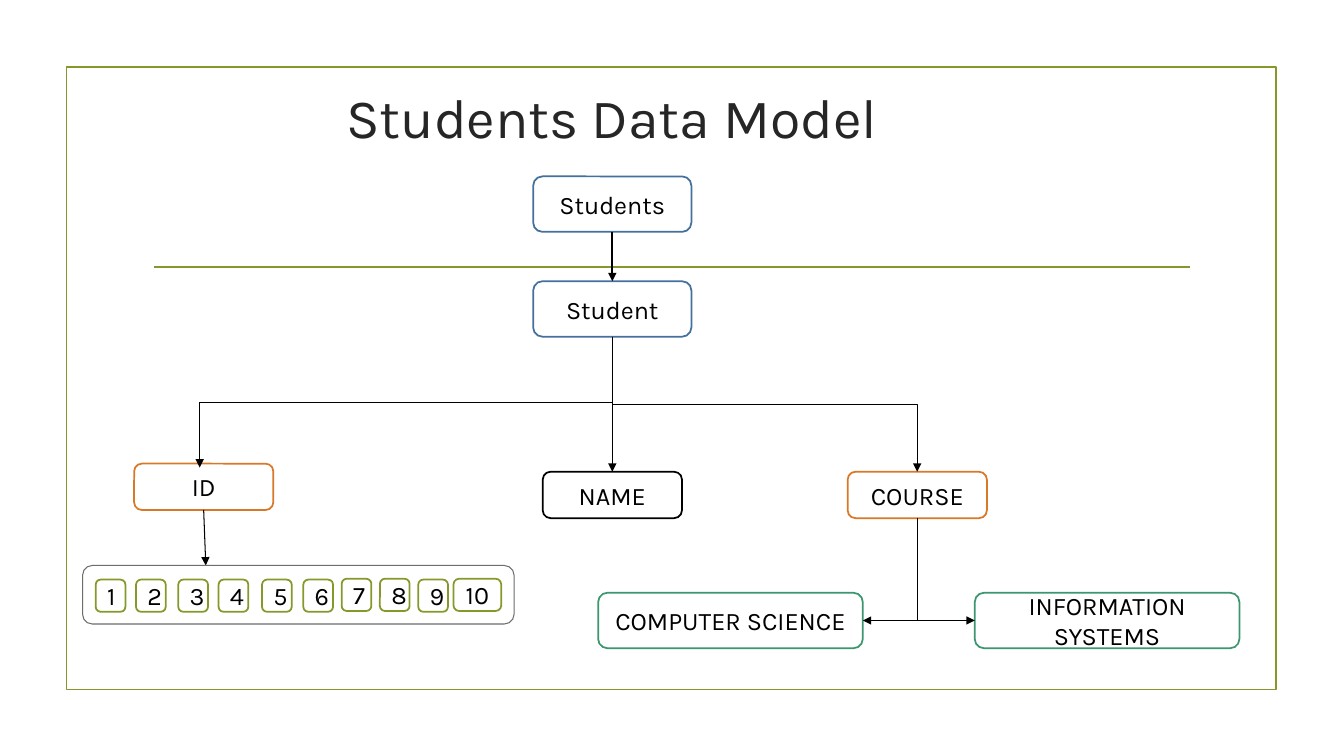
import lxml.etree
import pptx
import pptx.dml.color
import pptx.enum.shapes
import pptx.enum.text
import pptx.oxml.ns
import pptx.util
from dataclasses import dataclass

Pt = pptx.util.Pt
SHAPE = pptx.enum.shapes.MSO_SHAPE
CONNECTOR = pptx.enum.shapes.MSO_CONNECTOR
qn = pptx.oxml.ns.qn

TITLE = "Students Data Model"
TITLE_BOX = (92.2, 55.4, 689.8, 55.4)
FRAME_BOX = (47.5, 48, 864, 444.5)
RULE = ((110.2, 190.8), (850.3, 190.8))

NODES = {
    "Students": ((380.9, 126, 113, 39.6), "entity"),
    "Student": ((380.9, 200.9, 113, 39.6), "entity"),
    "NAME": ((387.7, 337, 99.4, 33.1), "ink"),
    "COURSE": ((605.5, 337, 99.4, 33.1), "field"),
    "COMPUTER SCIENCE": ((427.3, 423.4, 189, 39.6), "option"),
    "INFORMATION SYSTEMS": ((696.3, 423.4, 189, 39.6), "option"),
    "ID": ((95.8, 331.2, 99.4, 33.1), "field"),
}
ID_LIST_BOX = (59, 403.9, 308.2, 41.8)
DIGIT_LEFTS = [68.4, 97.2, 127.4, 156.2, 187.2, 216.7, 244.1, 271.4, 298.8, 324]
RAISED_DIGITS = (7, 8, 10)


@dataclass(frozen=True)
class Theme:
    font: str = "Karla"
    title_size: float = 39.6
    label_size: float = 18
    thick: float = 1.25
    thin: float = 0.75
    paper: str = "FFFFFF"
    heading: str = "262626"
    ink: str = "000000"
    accent: str = "83992A"
    entity: str = "44709D"
    field: str = "D97828"
    option: str = "3C9770"
    outline: str = "6D6D6D"


theme = Theme()


def rgb(color):
    return pptx.dml.color.RGBColor.from_string(color)


def write(holder, text, *, size=theme.label_size, color=theme.ink):
    frame = holder.text_frame
    frame.word_wrap = True
    frame.auto_size = pptx.enum.text.MSO_AUTO_SIZE.NONE
    frame.vertical_anchor = pptx.enum.text.MSO_ANCHOR.MIDDLE
    paragraph = frame.paragraphs[0]
    paragraph.alignment = pptx.enum.text.PP_ALIGN.CENTER
    run = paragraph.add_run()
    run.text = text
    run.font.name = theme.font
    run.font.size = Pt(size)
    run.font.color.rgb = rgb(color)


def add_box(slide, box, line, *, text=None, kind=SHAPE.ROUNDED_RECTANGLE, fill=None, width=theme.thick):
    shape = slide.shapes.add_shape(kind, *map(Pt, box))
    shape.shadow.inherit = False
    if fill:
        shape.fill.solid()
        shape.fill.fore_color.rgb = rgb(fill)
    else:
        shape.fill.background()
    shape.line.color.rgb = rgb(line)
    shape.line.width = Pt(width)
    if text:
        write(shape, text)
    return shape


def add_line(slide, start, end, *, kind=CONNECTOR.STRAIGHT, color=theme.ink, width=theme.thin, arrow=True):
    line = slide.shapes.add_connector(kind, *map(Pt, (*start, *end)))
    line.line.color.rgb = rgb(color)
    line.line.width = Pt(width)
    properties = line._element.spPr
    if arrow:
        lxml.etree.SubElement(properties.find(qn("a:ln")), qn("a:tailEnd"), type="triangle")
    lxml.etree.SubElement(properties, qn("a:effectLst"))
    return line


def add_downward_elbow(slide, start, end, preset):
    (x1, y1), (x2, y2) = start, end
    middle_x, middle_y = (x1 + x2) / 2, (y1 + y2) / 2
    half_width = (y2 - y1) / 2 * (1 if x2 < x1 else -1)
    half_height = abs(x2 - x1) / 2
    elbow = add_line(
        slide,
        (middle_x - half_width, middle_y - half_height),
        (middle_x + half_width, middle_y + half_height),
        kind=CONNECTOR.ELBOW,
    )
    properties = elbow._element.spPr
    properties.find(qn("a:xfrm")).set("rot", str((90 if x2 < x1 else 270) * 60000))
    properties.find(qn("a:prstGeom")).set("prst", preset)


def side(name, place):
    left, top, width, height = NODES[name][0]
    return {
        "top": (left + width / 2, top),
        "bottom": (left + width / 2, top + height),
        "left": (left, top + height / 2),
        "right": (left + width, top + height / 2),
    }[place]


def main():
    deck = pptx.Presentation()
    deck.slide_width, deck.slide_height = Pt(960), Pt(540)
    slide = deck.slides.add_slide(deck.slide_layouts[5])

    title = slide.shapes.title
    title.left, title.top, title.width, title.height = map(Pt, TITLE_BOX)
    write(title, TITLE, size=theme.title_size, color=theme.heading)

    add_box(slide, FRAME_BOX, theme.accent, kind=SHAPE.RECTANGLE)
    add_line(slide, *RULE, color=theme.accent, width=theme.thick, arrow=False)

    nodes = {
        name: add_box(slide, box, getattr(theme, role), text=name, fill=theme.paper)
        for name, (box, role) in NODES.items()
    }

    for parent, child, width in (("Students", "Student", theme.thick), ("Student", "NAME", theme.thin)):
        link = add_line(slide, side(parent, "bottom"), side(child, "top"), width=width)
        link.begin_connect(nodes[parent], 2)
        link.end_connect(nodes[child], 0)

    student_bottom = side("Student", "bottom")
    course_bottom = side("COURSE", "bottom")
    id_x, id_top = side("ID", "top")
    for start, end, preset in (
        (student_bottom, side("COURSE", "top"), "bentConnector3"),
        (student_bottom, (id_x - 2.9, id_top + 2.8), "bentConnector3"),
        (course_bottom, side("COMPUTER SCIENCE", "right"), "bentConnector2"),
        (course_bottom, side("INFORMATION SYSTEMS", "left"), "bentConnector2"),
    ):
        add_downward_elbow(slide, start, end, preset)

    for digit, left in enumerate(DIGIT_LEFTS, start=1):
        top = 413.4 if digit in RAISED_DIGITS else 414
        width = 34 if digit == 10 else 21.2
        add_box(slide, (left, top, width, 23), theme.accent, text=str(digit), fill=theme.paper)

    id_link = add_line(slide, side("ID", "bottom"), (147, ID_LIST_BOX[1]))
    id_link.begin_connect(nodes["ID"], 2)
    add_box(slide, ID_LIST_BOX, theme.outline, width=theme.thin)

    deck.save("out.pptx")


if __name__ == "__main__":
    main()
